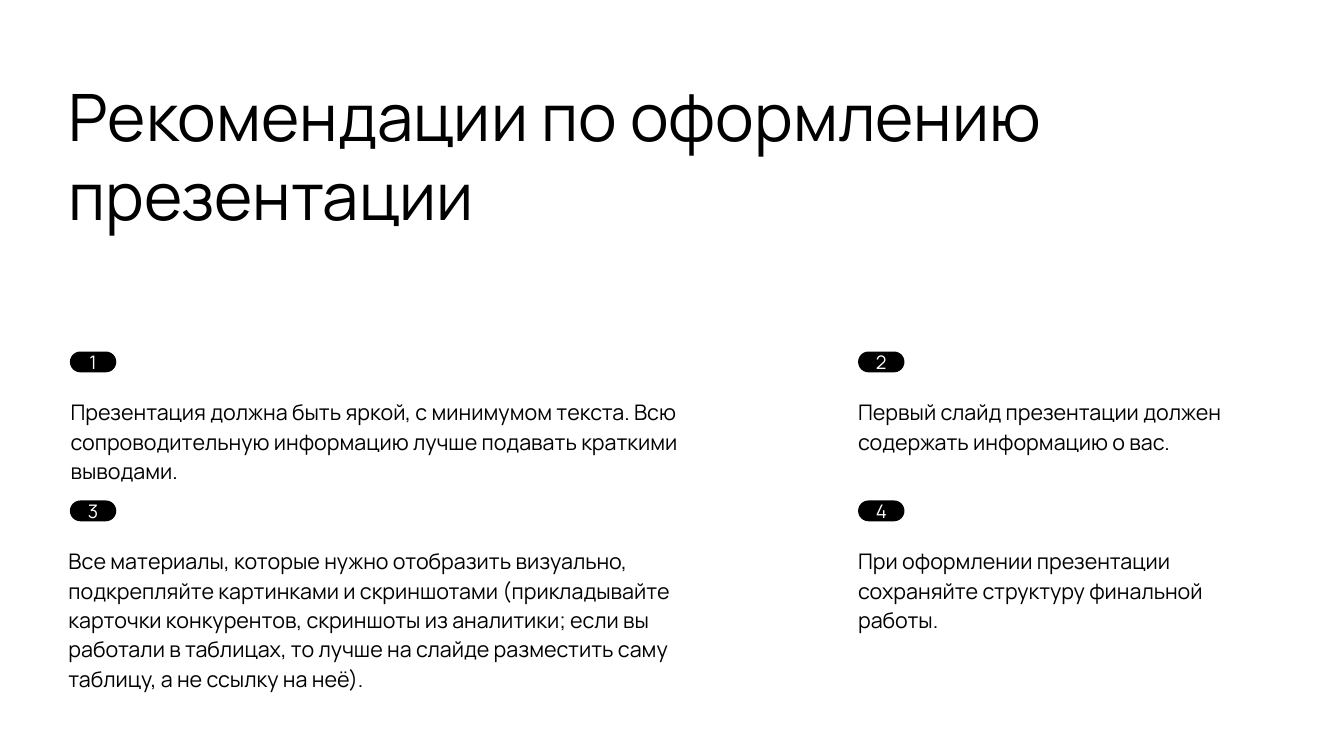
from pptx import Presentation
from pptx.dml.color import RGBColor
from pptx.enum import shapes, text
from pptx.util import Pt

TITLE = "Рекомендации по оформлению презентации"
TIPS = [
    {"left": 75.6, "width": 659.5, "lines": 3,
     "text": "Презентация должна быть яркой, с минимумом текста. Всю сопроводительную "
             "информацию лучше подавать краткими выводами."},
    {"left": 919.4, "width": 404, "lines": 2,
     "text": "Первый слайд презентации должен содержать информацию о вас."},
    {"left": 73.4, "width": 730, "lines": 5,
     "text": "Все материалы, которые нужно отобразить визуально, подкрепляйте картинками "
             "и скриншотами (прикладывайте карточки конкурентов, скриншоты из аналитики; "
             "если вы работали в таблицах, то лучше на слайде разместить саму таблицу, "
             "а не ссылку на неё)."},
    {"left": 919.4, "width": 404, "lines": 3,
     "text": "При оформлении презентации сохраняйте структуру финальной работы."},
]

COLORS = {"ink": "000000", "paper": "FFFFFF"}
FONT = "Manrope"
BADGE_LEFTS = (74.9, 919.4)
BADGE_WIDTH, BADGE_HEIGHT = 49.7, 22.3
FIRST_ROW, ROW_STEP, TEXT_DROP = 376.6, 159.6, 43.8
LINE_HEIGHT = 31.5


def color(name):
    return RGBColor.from_string(COLORS[name])


def write(shape, words, size, ink, margins):
    frame = shape.text_frame
    frame.word_wrap = True
    frame.margin_left, frame.margin_top, frame.margin_right, frame.margin_bottom = map(Pt, margins)
    para = frame.paragraphs[0]
    para.text = words
    para.font.name = FONT
    para.font.size = Pt(size)
    para.font.color.rgb = color(ink)
    return para


def add_text(slide, left, top, width, height, words, size, inset):
    box = slide.shapes.add_textbox(Pt(left), Pt(top), Pt(width), Pt(height))
    para = write(box, words, size, "ink", (inset, 3.6, 6.5, 3.6))
    box.text_frame.auto_size = text.MSO_AUTO_SIZE.SHAPE_TO_FIT_TEXT
    return para


def add_badge(slide, left, top, number):
    badge = slide.shapes.add_shape(shapes.MSO_SHAPE.ROUNDED_RECTANGLE,
                                   Pt(left), Pt(top), Pt(BADGE_WIDTH), Pt(BADGE_HEIGHT))
    badge.adjustments[0] = 0.5
    badge.shadow.inherit = False
    badge.fill.solid()
    badge.fill.fore_color.rgb = color("ink")
    badge.line.fill.background()
    para = write(badge, str(number), 20, "paper", (7.2,) * 4)
    para.alignment = text.PP_ALIGN.CENTER
    badge.text_frame.vertical_anchor = text.MSO_ANCHOR.MIDDLE


def main():
    deck = Presentation()
    deck.slide_width, deck.slide_height = Pt(1440), Pt(810)
    slide = deck.slides.add_slide(deck.slide_layouts[6])
    slide.background.fill.solid()
    slide.background.fill.fore_color.rgb = color("paper")

    add_text(slide, 67, 78.5, 1319, 176.4, TITLE, 70, 6.5)
    for index, tip in enumerate(TIPS):
        row, column = divmod(index, len(BADGE_LEFTS))
        top = FIRST_ROW + row * ROW_STEP
        add_badge(slide, BADGE_LEFTS[column], top, index + 1)
        para = add_text(slide, tip["left"], top + TEXT_DROP, tip["width"],
                        tip["lines"] * LINE_HEIGHT + 3.6, tip["text"], 23, 0)
        para.line_spacing = 1.14
        para.space_after = Pt(10)

    deck.save("out.pptx")


if __name__ == "__main__":
    main()
